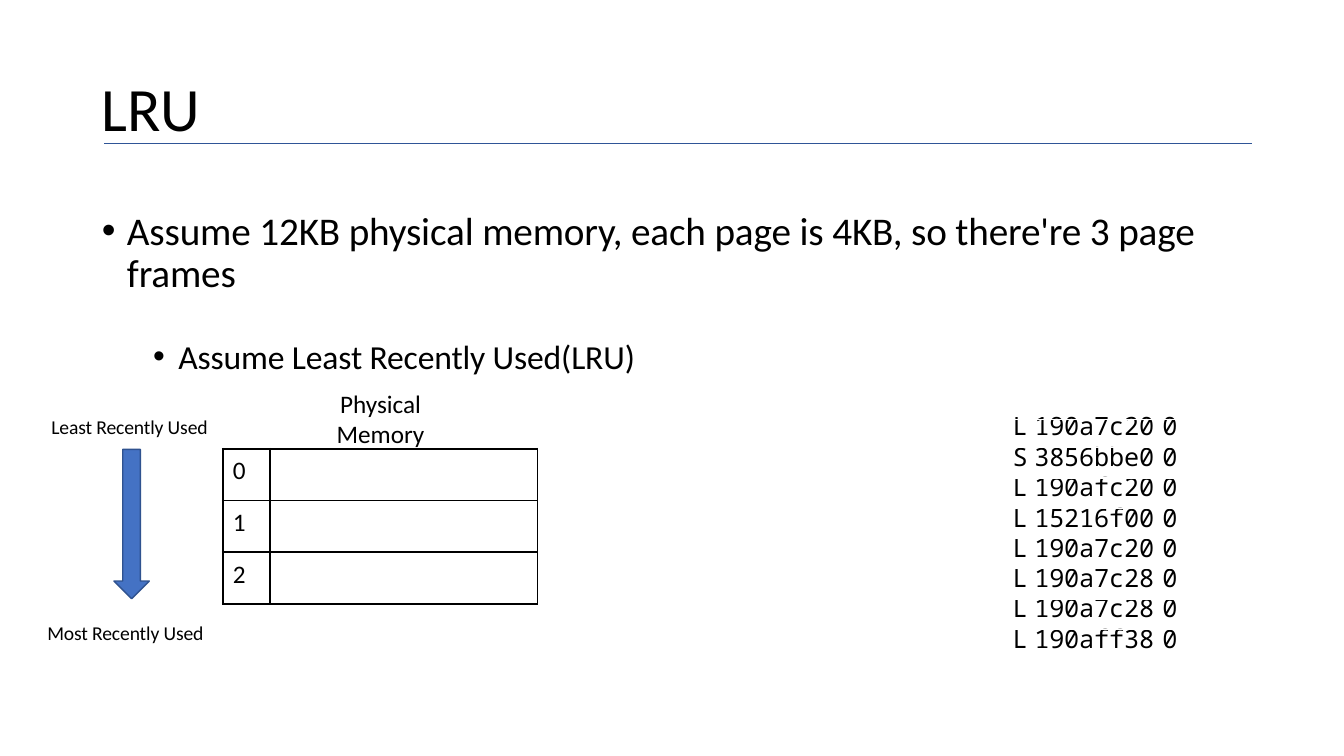
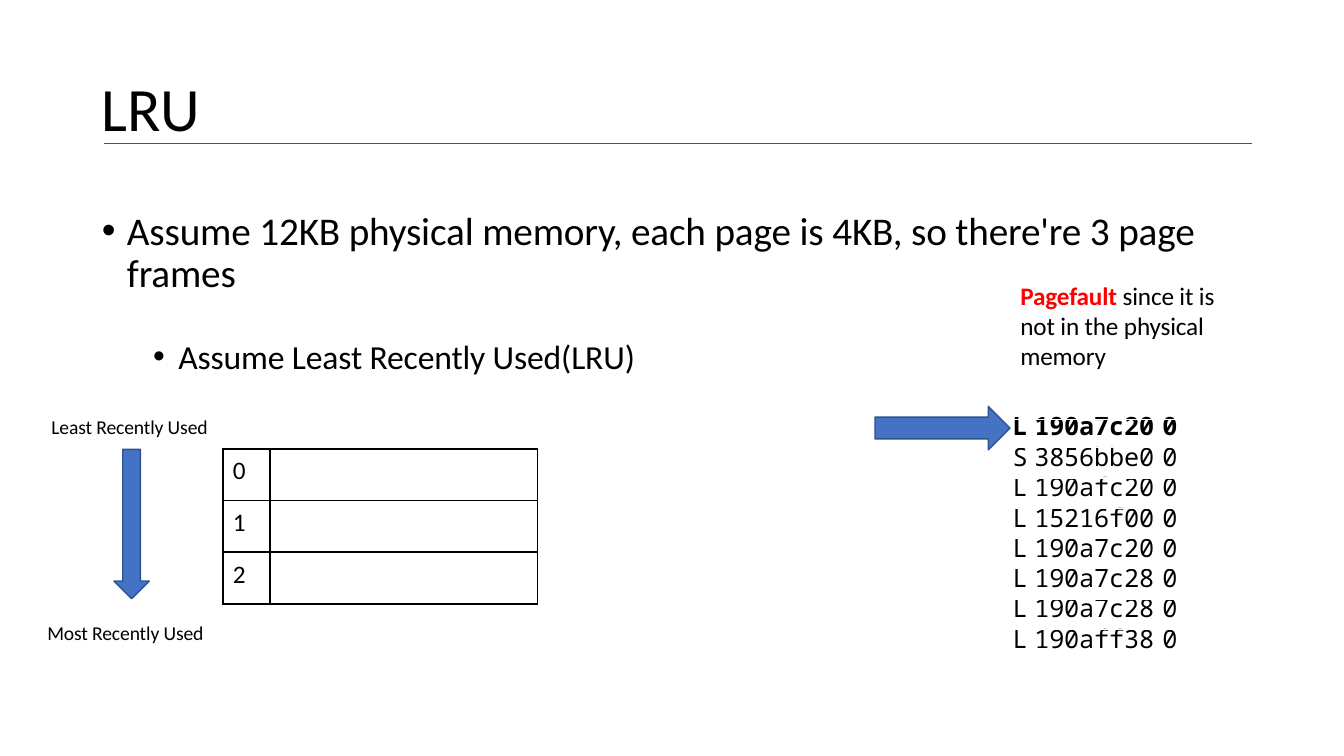
from typing import NamedTuple, Optional

from pptx import Presentation
from pptx.dml.color import RGBColor
from pptx.enum.shapes import MSO_CONNECTOR, MSO_SHAPE
from pptx.enum.text import MSO_ANCHOR, MSO_AUTO_SIZE, PP_ALIGN
from pptx.oxml.ns import qn
from pptx.shapes.autoshape import Shape
from pptx.slide import Slide
from pptx.table import Table, _Cell
from pptx.text.text import TextFrame, _Paragraph
from pptx.util import Inches, Length, Pt
from lxml.etree import SubElement

BLACK = RGBColor(0, 0, 0)
RED = RGBColor(0xFF, 0, 0)
RULE_BLUE = RGBColor(0x2F, 0x55, 0x97)
ARROW_FILL = RGBColor(0x44, 0x72, 0xC4)
ARROW_EDGE = RGBColor(0x2F, 0x52, 0x8F)
BODY_FONT = "Calibri"
TRACE_FONT = "Noto Sans Mono"

SLIDE_WIDTH, SLIDE_HEIGHT = Inches(13.33), Inches(7.5)


def across(share: float) -> Length:
    """Percent of the slide width as a length."""
    return Length(round(SLIDE_WIDTH * share / 100))


def down(share: float) -> Length:
    """Percent of the slide height as a length."""
    return Length(round(SLIDE_HEIGHT * share / 100))


class Place(NamedTuple):
    """A rectangle in percent of the slide's width and height."""
    left: float
    top: float
    width: float
    height: float

    def lengths(self) -> tuple[Length, Length, Length, Length]:
        return across(self.left), down(self.top), across(self.width), down(self.height)


class Bullet(NamedTuple):
    text: str
    size: float
    level: int
    margin: float
    before: float
    line: Optional[Length]


class Label(NamedTuple):
    text: str
    place: Place


class Access(NamedTuple):
    kind: str
    address: str
    size: str = "0"


TITLE_PLACE = Place(7.5, 8.93, 67.74, 10.13)
BULLETS_PLACE = Place(7.5, 26.13, 83, 23.7)
MEMORY_PLACE = Place(16.58, 59.35, 23.41, 20.55)
TRACE_PLACE = Place(75, 55.5, 12.83, 31.33)
RECENCY_ARROW = Place(8.48, 59.45, 2.63, 19.75)
CURRENT_ARROW = Place(65.1, 53.75, 10.05, 5.75)
CAPTION_PLACE = Place(22.05, 50.65, 12.53, 9.45)
FAULT_PLACE = Place(75.85, 36.65, 14.85, 12.3)
RULE_LEFT, RULE_RIGHT, RULE_TOP = 7.75, 93.15, 18.9

MEMORY_COLUMNS = [3.53, 19.88]
MEMORY_ROWS = [6.85] * 3
TRACE_COLUMNS = [1.8, 9.23, 1.8]
TRACE_ROWS = [3.73] + [4] * 6 + [3.6]

BULLETS = [
    Bullet("Assume 12KB physical memory, each page is 4KB, so there're 3 page frames",
           28, 0, 0.26, 0, Pt(30)),
    Bullet("Assume Least Recently Used(LRU)", 24, 1, 0.77, 29, None),
]
RECENCY_LABELS = [
    Label("Least Recently Used", Place(3.75, 54.55, 13, 3.45)),
    Label("Most Recently Used", Place(3.45, 81.85, 13, 3.45)),
]
TRACE = [
    Access("L", "190a7c20"),
    Access("S", "3856bbe0"),
    Access("L", "190afc20"),
    Access("L", "15216f00"),
    Access("L", "190a7c20"),
    Access("L", "190a7c28"),
    Access("L", "190a7c28"),
    Access("L", "190aff38"),
]


def write(paragraph: _Paragraph, text: str, *, size: float = 18, font: str = BODY_FONT,
          color: RGBColor = BLACK, bold: bool = False, tracking: float = 0,
          align: PP_ALIGN = PP_ALIGN.LEFT, line: Optional[Length] = None) -> None:
    """Append a formatted run; tracking is the letter spacing in points."""
    paragraph.alignment = align
    if line is not None:
        paragraph.line_spacing = line
    run = paragraph.add_run()
    run.text = text
    run.font.size = Pt(size)
    run.font.name = font
    run.font.bold = bold
    run.font.color.rgb = color
    if tracking:
        run.font._element.set("spc", str(round(tracking * 100)))


def set_frame(frame: TextFrame, left: float = 0, top: float = 0,
              right: float = 0, bottom: float = 0) -> None:
    """Wrap text from the top, with insets in inches."""
    frame.word_wrap = True
    frame.auto_size = MSO_AUTO_SIZE.NONE
    frame.vertical_anchor = MSO_ANCHOR.TOP
    frame.margin_left, frame.margin_top = Inches(left), Inches(top)
    frame.margin_right, frame.margin_bottom = Inches(right), Inches(bottom)


def move(shape: Shape, place: Place) -> None:
    shape.left, shape.top, shape.width, shape.height = place.lengths()


def add_text_frame(slide: Slide, place: Place, **insets: float) -> TextFrame:
    frame = slide.shapes.add_textbox(*place.lengths()).text_frame
    set_frame(frame, **insets)
    return frame


def set_bullet(paragraph: _Paragraph, margin: float) -> None:
    properties = paragraph._p.get_or_add_pPr()
    properties.set("marL", str(Inches(margin)))
    properties.set("indent", str(Inches(-0.25)))
    SubElement(properties, qn("a:buFont"), typeface="Arial")
    SubElement(properties, qn("a:buChar"), char="•")


def add_arrow(slide: Slide, preset: MSO_SHAPE, place: Place) -> None:
    arrow = slide.shapes.add_shape(preset, *place.lengths())
    arrow.shadow.inherit = False
    arrow.fill.solid()
    arrow.fill.fore_color.rgb = ARROW_FILL
    arrow.line.color.rgb = ARROW_EDGE
    arrow.line.width = Pt(1)


def add_plain_table(slide: Slide, place: Place, columns: list[float],
                    rows: list[float]) -> Table:
    table = slide.shapes.add_table(len(rows), len(columns), *place.lengths()).table
    table.first_row = table.horz_banding = False
    for column, share in zip(table.columns, columns):
        column.width = across(share)
    for row, share in zip(table.rows, rows):
        row.height = down(share)
    return table


def set_cell(cell: _Cell, left: float = 0, top: float = 0) -> None:
    """Clear the fill and set the insets in inches."""
    cell.fill.background()
    cell.margin_left, cell.margin_top = Inches(left), Inches(top)
    cell.margin_right = cell.margin_bottom = 0


def add_borders(cell: _Cell) -> None:
    properties = cell._tc.get_or_add_tcPr()
    for side in ("lnL", "lnR", "lnT", "lnB"):
        border = SubElement(properties, qn(f"a:{side}"), w=str(Pt(1.5)))
        fill = SubElement(border, qn("a:solidFill"))
        SubElement(fill, qn("a:srgbClr"), val=str(BLACK))


def add_heading(slide: Slide, text: str) -> None:
    title = slide.shapes.title
    move(title, TITLE_PLACE)
    set_frame(title.text_frame, left=0.01, top=0.02)
    write(title.text_frame.paragraphs[0], text, size=44, tracking=-0.2)
    rule = slide.shapes.add_connector(
        MSO_CONNECTOR.STRAIGHT, across(RULE_LEFT), down(RULE_TOP),
        across(RULE_RIGHT), down(RULE_TOP))
    rule.line.color.rgb = RULE_BLUE
    rule.line.width = Pt(0.5)
    SubElement(rule._element.spPr, qn("a:effectLst"))


def add_bullets(slide: Slide) -> None:
    body = slide.placeholders[1]
    move(body, BULLETS_PLACE)
    frame = body.text_frame
    set_frame(frame, top=0.14)
    for index, bullet in enumerate(BULLETS):
        paragraph = frame.add_paragraph() if index else frame.paragraphs[0]
        paragraph.level = bullet.level
        paragraph.space_before = Pt(bullet.before)
        set_bullet(paragraph, bullet.margin)
        write(paragraph, bullet.text, size=bullet.size, tracking=-0.1, line=bullet.line)


def add_trace(slide: Slide, current: Optional[int]) -> None:
    """List the memory accesses, with the current one in bold."""
    table = add_plain_table(slide, TRACE_PLACE, TRACE_COLUMNS, TRACE_ROWS)
    for row, access in enumerate(TRACE):
        for column, text in enumerate(access):
            cell = table.cell(row, column)
            set_cell(cell, left=0.03 if column == 2 else 0)
            write(cell.text_frame.paragraphs[0], text, font=TRACE_FONT,
                  bold=row == current, tracking=-0.1 if column == 1 else 0,
                  align=PP_ALIGN.CENTER, line=Pt(18.8 if row else 16.9))


def add_memory(slide: Slide) -> None:
    """Draw the empty page frames beside the order of use."""
    table = add_plain_table(slide, MEMORY_PLACE, MEMORY_COLUMNS, MEMORY_ROWS)
    for cell in table.iter_cells():
        add_borders(cell)
        set_cell(cell, left=0.1, top=0.07)
    for number in range(len(MEMORY_ROWS)):
        write(table.cell(number, 0).text_frame.paragraphs[0], str(number))
    add_arrow(slide, MSO_SHAPE.DOWN_ARROW, RECENCY_ARROW)
    for label in RECENCY_LABELS:
        frame = add_text_frame(slide, label.place, left=0.01, top=0.02)
        write(frame.paragraphs[0], label.text, size=14, tracking=-0.1)


def add_caption(slide: Slide) -> None:
    frame = add_text_frame(slide, CAPTION_PLACE, left=0.1, top=0.05, right=0.1, bottom=0.05)
    write(frame.paragraphs[0], "Physical Memory", align=PP_ALIGN.CENTER)


def add_page_fault(slide: Slide) -> None:
    add_arrow(slide, MSO_SHAPE.RIGHT_ARROW, CURRENT_ARROW)
    reason = add_text_frame(slide, FAULT_PLACE, left=0.01, top=0.03).paragraphs[0]
    write(reason, "Pagefault ", color=RED, bold=True, tracking=-0.1)
    write(reason, "since it is not in the physical memory", tracking=-0.1)


def add_lru_slide(presentation, current: Optional[int] = None) -> Slide:
    slide = presentation.slides.add_slide(presentation.slide_layouts[1])
    add_heading(slide, "LRU")
    add_bullets(slide)
    add_trace(slide, current)
    add_memory(slide)
    return slide


def main() -> None:
    presentation = Presentation()
    presentation.slide_width, presentation.slide_height = SLIDE_WIDTH, SLIDE_HEIGHT
    add_caption(add_lru_slide(presentation))
    add_page_fault(add_lru_slide(presentation, current=0))
    presentation.save("out.pptx")


if __name__ == "__main__":
    main()
